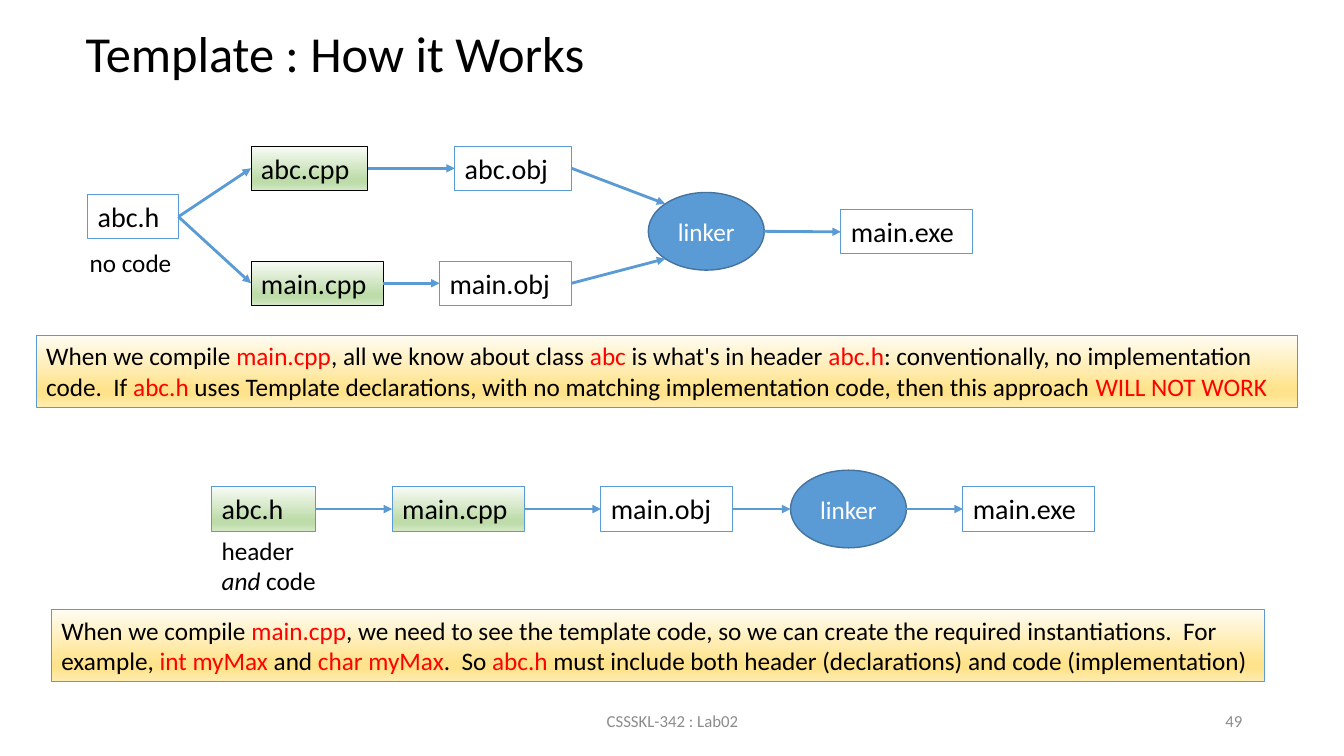
from dataclasses import dataclass
from math import cos, radians, sin

from lxml.etree import SubElement
from pptx import Presentation
from pptx.dml.color import RGBColor
from pptx.enum.shapes import MSO_CONNECTOR, MSO_SHAPE
from pptx.enum.text import MSO_ANCHOR as ANCHOR, MSO_AUTO_SIZE as AUTO_SIZE, PP_ALIGN as ALIGN
from pptx.oxml.ns import qn
from pptx.util import Inches, Pt


@dataclass(frozen=True)
class Theme:
    font: str = "Calibri"
    ink: str = "000000"
    key: str = "FF0000"
    muted: str = "8C8C8C"
    light: str = "FFFFFF"
    accent: str = "5B9BD5"
    accent_dark: str = "43739E"
    green: tuple = ("F8FBF6", "BEDCAA", "BEDCAA", "D4E8C6")
    gold: tuple = ("FFFCF2", "FFE38C", "FFE38C", "FFECB2")
    stops: tuple = (0, 74, 83, 100)
    title: int = 36
    file: int = 20
    body: int = 18
    footer: int = 12


T = Theme()
FILE_H = 0.44
LINKER_W, LINKER_H = 1.15, 0.77


def rgb(color):
    return RGBColor.from_string(color)


def write(shape, runs, size=T.body, color=T.ink, align=ALIGN.LEFT,
          anchor=ANCHOR.TOP, auto_size=AUTO_SIZE.SHAPE_TO_FIT_TEXT):
    """Fill a shape with one paragraph; runs is a string or (text, format) pairs."""
    tf = shape.text_frame
    tf.word_wrap = True
    tf.auto_size = auto_size
    tf.vertical_anchor = anchor
    p = tf.paragraphs[0]
    p.alignment = align
    for text, fmt in [(runs, {})] if isinstance(runs, str) else runs:
        r = p.add_run()
        r.text = text
        r.font.name = T.font
        r.font.size = Pt(size)
        r.font.italic = fmt.get("italic")
        r.font.color.rgb = rgb(fmt.get("color", color))


def add_text(s, x, y, w, h, runs, **fmt):
    tb = s.shapes.add_textbox(Inches(x), Inches(y), Inches(w), Inches(h))
    write(tb, runs, **fmt)


def add_box(s, x, y, w, h, runs, kind=MSO_SHAPE.RECTANGLE, fill=None,
            line=T.accent, line_width=0.75, **fmt):
    """Add an outlined shape; fill is a colour, a tuple of gradient colours or None."""
    sp = s.shapes.add_shape(kind, Inches(x), Inches(y), Inches(w), Inches(h))
    sp.shadow.inherit = False
    if fill is None:
        sp.fill.background()
    elif isinstance(fill, str):
        sp.fill.solid()
        sp.fill.fore_color.rgb = rgb(fill)
    else:
        sp.fill.gradient()
        sp.fill.gradient_angle = 270
        stops = sp._element.spPr.find(qn("a:gradFill")).find(qn("a:gsLst"))
        for old in list(stops):
            stops.remove(old)
        for position, color in zip(T.stops, fill):
            gs = SubElement(stops, qn("a:gs"), pos=str(position * 1000))
            SubElement(gs, qn("a:srgbClr"), val=color)
    sp.line.color.rgb = rgb(line)
    sp.line.width = Pt(line_width)
    write(sp, runs, **fmt)
    return sp


def add_file(s, x, y, w, name, **style):
    return add_box(s, x, y, w, FILE_H, name, size=T.file, **style)


def add_linker(s, x, y):
    return add_box(s, x, y, LINKER_W, LINKER_H, "linker", kind=MSO_SHAPE.OVAL,
                   fill=T.accent, line=T.accent_dark, line_width=1, color=T.light,
                   align=ALIGN.CENTER, anchor=ANCHOR.MIDDLE, auto_size=AUTO_SIZE.NONE)


def edge_point(sp, angle):
    """Point on the ellipse inscribed in a shape, clockwise from the right."""
    a = radians(angle)
    return (int(sp.left + sp.width / 2 * (1 + cos(a))),
            int(sp.top + sp.height / 2 * (1 + sin(a))))


def add_arrow(s, source, target, entry=180):
    """Draw an arrow from the right of source to the target's edge at angle entry."""
    c = s.shapes.add_connector(MSO_CONNECTOR.STRAIGHT,
                               *edge_point(source, 0), *edge_point(target, entry))
    if source.auto_shape_type == MSO_SHAPE.RECTANGLE:
        c.begin_connect(source, 3)
    if target.auto_shape_type == MSO_SHAPE.RECTANGLE:
        c.end_connect(target, 1)
    c.line.color.rgb = rgb(T.accent)
    c.line.width = Pt(2)
    SubElement(c.line._get_or_add_ln(), qn("a:tailEnd"), type="triangle")
    SubElement(c._element.spPr, qn("a:effectLst"))


def add_title(s, x, y, w, h, text):
    title = s.shapes.title
    title.left, title.top, title.width, title.height = map(Inches, (x, y, w, h))
    write(title, text, size=T.title)


def separate_build(s, x, y):
    """Header without code, compiled through two source files."""
    low = y + 1.14
    header = add_file(s, x, y + 0.48, 0.9, "abc.h")
    add_text(s, x - 0.08, y + 0.95, 1.21, 0.4, "no code")
    abc_cpp = add_file(s, x + 1.62, y, 1.16, "abc.cpp", fill=T.green, line=T.ink)
    main_cpp = add_file(s, x + 1.62, low, 1.31, "main.cpp", fill=T.green, line=T.ink)
    abc_obj = add_file(s, x + 3.64, y, 1.16, "abc.obj")
    main_obj = add_file(s, x + 3.49, low, 1.31, "main.obj")
    linker = add_linker(s, x + 5.56, y + 0.46)
    exe = add_file(s, x + 7.47, y + 0.63, 1.31, "main.exe")
    for source, target, entry in (
            (header, abc_cpp, 180), (header, main_cpp, 180),
            (abc_cpp, abc_obj, 180), (main_cpp, main_obj, 180),
            (abc_obj, linker, 225), (main_obj, linker, 135), (linker, exe, 180)):
        add_arrow(s, source, target, entry)


def template_build(s, x, y):
    """Header with code, compiled in one straight chain."""
    chain = [
        add_file(s, x, y, 1.03, "abc.h", fill=T.green),
        add_file(s, x + 1.79, y, 1.31, "main.cpp", fill=T.green),
        add_file(s, x + 3.86, y, 1.31, "main.obj"),
        add_linker(s, x + 5.74, y + (FILE_H - LINKER_H) / 2),
        add_file(s, x + 7.45, y, 1.31, "main.exe"),
    ]
    for source, target in zip(chain, chain[1:]):
        add_arrow(s, source, target)
    add_text(s, x, y + 0.43, 1.21, 0.71,
             [("header ", {}), ("and", {"italic": True}), (" code", {})])


def add_note(s, x, y, w, *parts):
    """Gold note in which every second part is highlighted."""
    runs = [(text, {"color": T.key if i % 2 else T.ink}) for i, text in enumerate(parts)]
    add_box(s, x, y, w, 0.71, runs, fill=T.gold)


def add_footer(s, y, text, number):
    for x, w, label, align in ((4.42, 4.5, text, ALIGN.CENTER),
                               (9.42, 3, number, ALIGN.RIGHT)):
        add_text(s, x, y, w, 0.4, label, size=T.footer, color=T.muted, align=align,
                 anchor=ANCHOR.MIDDLE, auto_size=AUTO_SIZE.NONE)


def main():
    prs = Presentation()
    prs.slide_width, prs.slide_height = Inches(13.33), Inches(7.5)
    s = prs.slides.add_slide(prs.slide_layouts[5])
    add_title(s, 0.75, 0.17, 8.59, 0.71, "Template : How it Works")
    separate_build(s, 0.87, 1.45)
    add_note(s, 0.36, 3.33, 12.51,
             "When we compile ", "main.cpp", ", all we know about class ", "abc ",
             "is what's in header ", "abc.h",
             ": conventionally, no implementation code.  If ", "abc.h",
             " uses Template declarations, with no matching implementation code, "
             "then this approach ", "WILL NOT WORK")
    template_build(s, 2.1, 4.83)
    add_note(s, 0.51, 6.05, 12.03,
             "When we compile ", "main.cpp",
             ", we need to see the template code, so we can create the required "
             "instantiations.  For example, ", "int myMax ", "and ", "char myMax",
             ".  So ", "abc.h",
             " must include both header (declarations) and code (implementation)")
    add_footer(s, 6.95, "CSSSKL-342 : Lab02", "49")
    prs.save("out.pptx")


if __name__ == "__main__":
    main()
